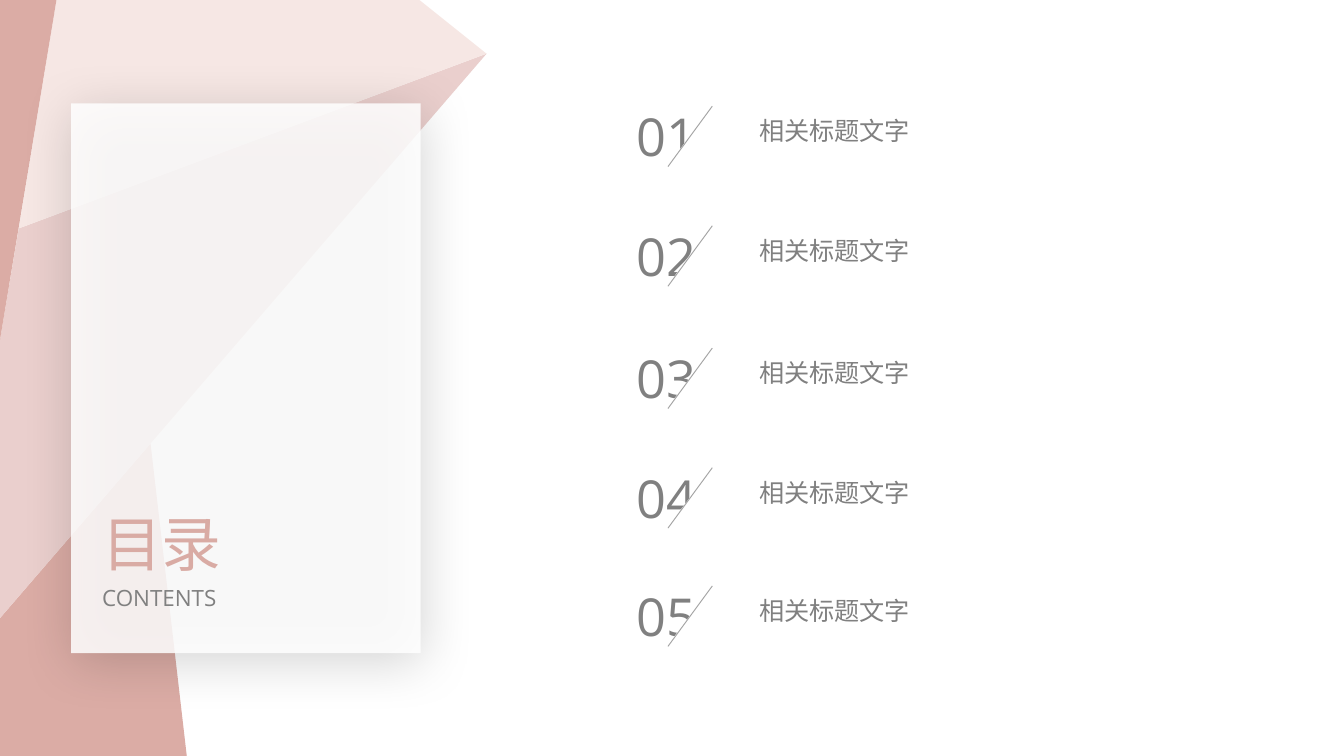
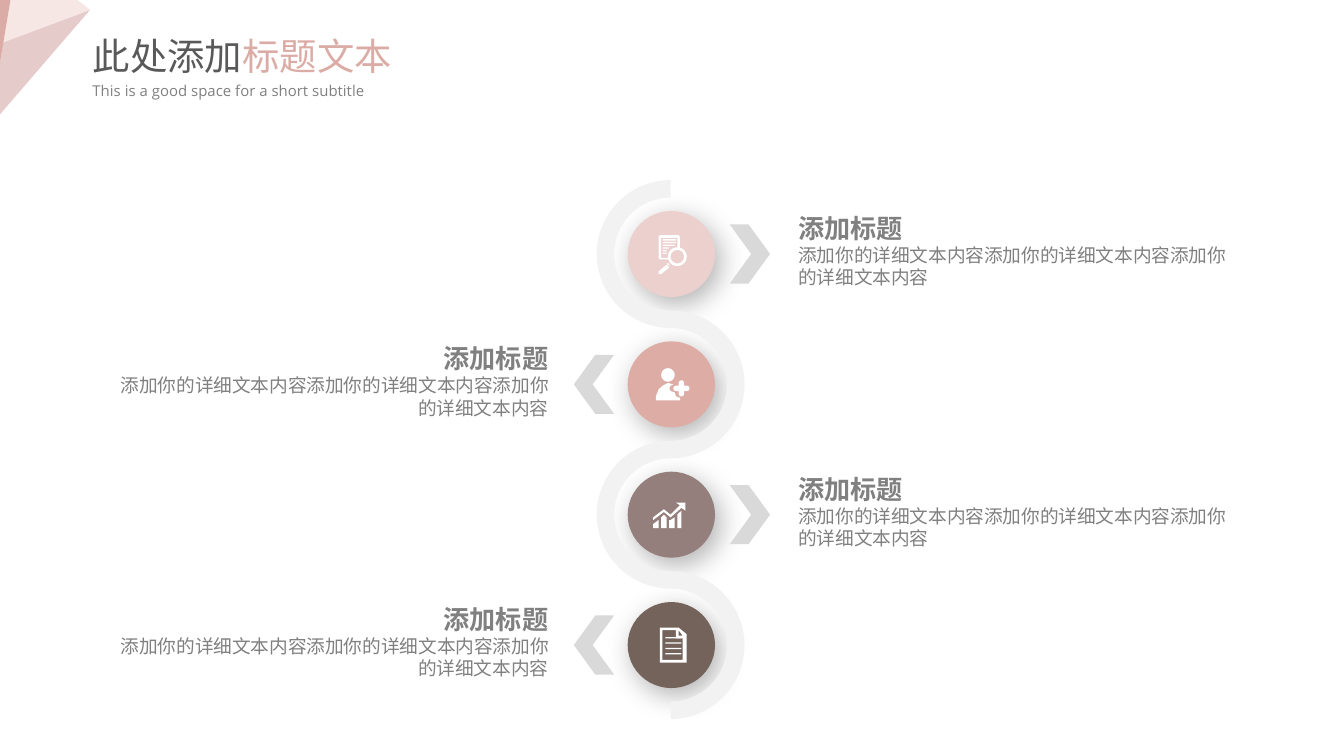
import collections
import math

import lxml.etree
import pptx
import pptx.dml.color
import pptx.enum.shapes
import pptx.enum.text
import pptx.oxml.ns
import pptx.util

Inches = pptx.util.Inches
SHAPE = pptx.enum.shapes.MSO_SHAPE
ALIGN = pptx.enum.text.PP_ALIGN
qn = pptx.oxml.ns.qn

Box = collections.namedtuple("Box", "left top width height")
FULL = Box(0, 0, 10, 10 * 9 / 16)

FONT = "Open Sans"
WHITE, GREY, DARK = "FFFFFF", "808080", "595959"
ROSE, BLUSH, PALE = "DBACA5", "EACFCD", "F6E7E4"
TITLE_ROSE, CORNER_BLUSH = "D9ABA4", "E5CBC9"
RIBBON, ARROW, SLASH = "F2F2F2", "D9D9D9", "A5A5A5"

FACETS = [
    (BLUSH, [(3.62, 0.4), (0.14, 1.7), (0, 2.53), (0, 4.6)]),
    (PALE, [(3.62, 0.4), (3.12, 0), (0.42, 0), (0.14, 1.7)]),
    (ROSE, [(0.42, 0), (0, 0), (0, 2.53)]),
]
LOWER_FACET = [(1.12, 3.3), (1.39, 5.63), (0, 5.63), (0, 4.6)]
ENTRY_TOPS = (0.73, 1.62, 2.53, 3.42, 4.3)
STEP_TITLE = "添加标题"
STEP_TEXT = "添加你的详细文本内容" * 3


def rgb(color):
    """Turn a hex string into a colour."""
    return pptx.dml.color.RGBColor.from_string(color)


def inside(box, left, top, width, height):
    """Return a box placed relative to another one."""
    return Box(box.left + left, box.top + top, width, height)


def paint(shape, color, alpha=None):
    """Give a shape a plain fill without line or shadow."""
    shape.shadow.inherit = False
    shape.fill.solid()
    shape.fill.fore_color.rgb = rgb(color)
    shape.line.fill.background()
    if alpha is not None:
        tint = next(shape._element.spPr.iter(qn("a:srgbClr")))
        lxml.etree.SubElement(tint, qn("a:alpha"), val=str(alpha * 1000))


def cast_shadow(shape, alpha, blur, distance, angle):
    """Add a soft black outer shadow."""
    effects = shape._element.spPr.find(qn("a:effectLst"))
    shadow = lxml.etree.SubElement(
        effects, qn("a:outerShdw"), blurRad=str(pptx.util.Pt(blur)),
        dist=str(pptx.util.Pt(distance)), dir=str(angle * 60000), rotWithShape="0")
    tint = lxml.etree.SubElement(shadow, qn("a:srgbClr"), val="000000")
    lxml.etree.SubElement(tint, qn("a:alpha"), val=str(alpha * 1000))


def add_preset(page, kind, box, color, alpha=None):
    """Draw a filled preset shape."""
    shape = page.shapes.add_shape(kind, *map(Inches, box))
    paint(shape, color, alpha)
    return shape


def add_outline(page, origin, contours, color):
    """Draw closed contours, given in inches from an origin, as one freeform."""
    builder = None
    for contour in contours:
        points = [(Inches(origin[0] + x), Inches(origin[1] + y)) for x, y in contour]
        if builder is None:
            builder = page.shapes.build_freeform(*points[0])
        else:
            builder.move_to(*points[0])
        builder.add_line_segments(points[1:], close=True)
    paint(builder.convert_to_shape(), color)


def arc(x, y, radius, start, end, count=32):
    """Return points along a circular arc, with angles in degrees."""
    angles = [math.radians(start + (end - start) * i / count) for i in range(count + 1)]
    return [(x + radius * math.cos(a), y + radius * math.sin(a)) for a in angles]


def rectangle(left, top, width, height):
    """Return the corners of a rectangle."""
    right, bottom = left + width, top + height
    return [(left, top), (right, top), (right, bottom), (left, bottom)]


def set_font(font, size, color, bold=False):
    """Set face, size, colour and weight of a font."""
    font.name = FONT
    lxml.etree.SubElement(font._rPr, qn("a:ea"), typeface=FONT)
    font.size = pptx.util.Pt(size)
    font.bold = bold
    font.color.rgb = rgb(color)


def set_frame(shape, box, insets=(0.1, 0.05), wrap=True):
    """Place a text shape and return its frame."""
    shape.left, shape.top, shape.width, shape.height = map(Inches, box)
    frame = shape.text_frame
    frame.margin_left = frame.margin_right = Inches(insets[0])
    frame.margin_top = frame.margin_bottom = Inches(insets[1])
    frame.word_wrap = wrap
    frame.auto_size = pptx.enum.text.MSO_AUTO_SIZE.SHAPE_TO_FIT_TEXT
    frame.vertical_anchor = pptx.enum.text.MSO_ANCHOR.TOP
    return frame


def write(frame, lines, align=ALIGN.LEFT):
    """Fill a frame with (text, size, colour, bold) lines."""
    for index, (text, size, color, bold) in enumerate(lines):
        para = frame.add_paragraph() if index else frame.paragraphs[0]
        para.alignment = align
        set_font(para.font, size, color, bold)
        para.add_run().text = text


def add_text(page, box, lines, align=ALIGN.LEFT, **layout):
    """Add a text box."""
    shape = page.shapes.add_textbox(*map(Inches, box))
    write(set_frame(shape, box, **layout), lines, align)


def raise_title(page):
    """Bring the title placeholder to the front and return it."""
    title = page.shapes.title
    title._element.getparent().append(title._element)
    return title


def add_facets(page, box, facets):
    """Draw the folded-paper corner, scaled to the width of its box."""
    scale = box.width / 3.62
    for color, points in facets:
        scaled = [(x * scale, y * scale) for x, y in points]
        add_outline(page, box[:2], [scaled], color)


def add_card(page, box):
    """Draw the translucent card with the contents heading."""
    card = add_preset(page, SHAPE.RECTANGLE, box, WHITE, alpha=85)
    cast_shadow(card, 20, 29, 5, 77)
    frame = set_frame(raise_title(page), inside(box, 0.23, 2.95, 1.19, 0.64), (0, 0.05))
    write(frame, [("目录", 32, TITLE_ROSE, False)], ALIGN.JUSTIFY)
    add_text(page, inside(box, 0.23, 3.53, 1.19, 0.3),
             [("CONTENTS", 12, GREY, False)], ALIGN.JUSTIFY, insets=(0, 0.05))


def add_entry(page, box, number):
    """Draw one contents entry with its cut number."""
    add_text(page, inside(box, 0, 0, 0.65, 0.57),
             [(f"{number:02}", 28, GREY, False)], wrap=False)
    add_text(page, inside(box, 0.91, 0.08, 1.34, 0.33),
             [("相关标题文字", 13.5, GREY, False)], wrap=False)
    cut = add_preset(page, SHAPE.RIGHT_TRIANGLE, inside(box, 0.27, 0.11, 0.45, 0.34), WHITE)
    cut.rotation = 270
    ends = (box.left + 0.66, box.top + 0.06, box.left + 0.33, box.top + 0.51)
    slash = page.shapes.add_connector(
        pptx.enum.shapes.MSO_CONNECTOR.STRAIGHT, *map(Inches, ends))
    slash.line.color.rgb = rgb(SLASH)
    slash.line.width = pptx.util.Pt(0.5)
    lxml.etree.SubElement(slash._element.spPr, qn("a:effectLst"))


def add_heading(page, box):
    """Draw the corner, two-tone title and subtitle of a content slide."""
    corner = [(CORNER_BLUSH if color == BLUSH else color, points) for color, points in FACETS]
    add_facets(page, inside(box, 0, 0, 0.67, 0.85), corner)
    frame = set_frame(raise_title(page), inside(box, 0.59, 0.2, 2.45, 0.44), wrap=False)
    write(frame, [("此处添加", 20, DARK, False)])
    span = frame.paragraphs[0].add_run()
    span.text = "标题文本"
    span.font.color.rgb = rgb(ROSE)
    add_text(page, inside(box, 0.59, 0.56, 2.27, 0.24),
             [("This is a good space for a short subtitle", 8, GREY, False)], wrap=False)


def add_ribbon(page, origin, count, pitch):
    """Draw the winding band around the step circles."""
    outer, inner = 0.55, 0.42
    down, up = [], []
    for i in range(count):
        end = 90 if i % 2 else -270
        radii = (inner, outer) if i % 2 else (outer, inner)
        down += arc(0, i * pitch, radii[0], -90, end)
        up = arc(0, i * pitch, radii[1], end, -90) + up
    add_outline(page, origin, [down + up], RIBBON)


def add_search_icon(page, center):
    """Draw a page with a magnifier."""
    frame = [(-0.01, 0.03), (-0.07, 0.03), (-0.07, -0.12), (0.05, -0.12), (0.05, -0.04),
             (0.07, -0.04), (0.07, -0.13), (0.06, -0.14), (-0.08, -0.14), (-0.09, -0.13),
             (-0.09, 0.03), (-0.08, 0.04), (-0.01, 0.04)]
    widths = (0.1, 0.1, 0.09, 0.05, 0.03, 0.03)
    rules = [rectangle(-0.06, -0.11 + 0.02 * i, w, 0.01) for i, w in enumerate(widths)]
    lens = [arc(0.05, 0.02, radius, 0, 360) for radius in (0.07, 0.05)]
    handle = [[(-0.03, 0.07), (-0.01, 0.07), (-0.01, 0.09)],
              [(-0.09, 0.13), (-0.03, 0.08), (-0.01, 0.1), (-0.07, 0.15), (-0.09, 0.15)]]
    for contours in (rules, lens, handle, [frame]):
        add_outline(page, center, contours, WHITE)


def add_person_icon(page, center):
    """Draw a person with a plus sign."""
    plus = []
    for turn in (0, 90, 180, 270):
        angle = math.radians(turn)
        plus += arc(0.08 + 0.04 * math.cos(angle), 0.03 + 0.04 * math.sin(angle),
                    0.02, turn - 90, turn + 90, 8)
        plus += arc(0.08, 0.03, 0.03, turn + 45, turn + 45, 1)
    body = [(0.07, 0.12), (0.07, 0.1), (0.04, 0.09), (0.03, 0.06), (0, 0.05),
            (-0.01, 0.03), (0, 0.01), (0.02, 0), (-0.02, -0.01), (-0.06, 0.01),
            (-0.09, 0.04), (-0.11, 0.09), (-0.11, 0.12)]
    add_outline(page, center, [plus], WHITE)
    add_outline(page, center, [arc(-0.02, -0.07, 0.05, 0, 360), body], WHITE)


def add_chart_icon(page, center):
    """Draw rising bars under a trend arrow."""
    bars = [[(-0.13, 0.1), (-0.13, 0.07), (-0.09, 0.04), (-0.09, 0.1)],
            [(-0.07, 0.1), (-0.07, 0.02), (-0.05, 0), (-0.03, 0.02), (-0.03, 0.1)],
            [(-0.01, 0.1), (-0.01, 0.04), (0, 0.04), (0.03, 0.02), (0.03, 0.1)],
            [(0.05, 0.1), (0.05, 0), (0.08, -0.03), (0.08, 0.1)]]
    trend = [(0.11, -0.09), (0.04, -0.09), (0.07, -0.07), (0, 0), (-0.05, -0.04), (-0.13, 0.02),
             (-0.13, 0.04), (-0.05, -0.02), (0, 0.02), (0.08, -0.05), (0.11, -0.03)]
    add_outline(page, center, bars, WHITE)
    add_outline(page, center, [trend], WHITE)


def add_document_icon(page, center):
    """Draw a ruled document with a folded corner."""
    sheet = [(0.12, -0.08), (0.06, -0.13), (-0.08, -0.13), (-0.08, 0.13), (0.12, 0.13)]
    fold = [(0.09, -0.07), (0.06, -0.07), (0.06, -0.11)]
    hollow = [(0.09, 0.11), (-0.06, 0.11), (-0.06, -0.11), (0.04, -0.11),
              (0.04, -0.05), (0.09, -0.05)]
    add_outline(page, center, [sheet, fold, hollow], WHITE)
    for i in range(4):
        box = Box(center[0] - 0.04, center[1] - 0.06 + 0.04 * i, 0.12, 0.01)
        add_preset(page, SHAPE.RECTANGLE, box, WHITE)


def add_step_text(page, center, side):
    """Draw the chevron and text on one side of a circle (1 right, -1 left)."""
    chevron = [(0, 0), (0.16, 0.22), (0, 0.44), (0.14, 0.44), (0.3, 0.22), (0.14, 0)]
    start = (center[0] + (0.44 if side > 0 else -0.42), center[1] - 0.22)
    add_outline(page, start, [[(side * x, y) for x, y in chevron]], ARROW)
    left = center[0] + (0.95 if side > 0 else -4.14)
    add_text(page, Box(left, center[1] - 0.31, 3.23, 0.57),
             [(STEP_TITLE, 14, GREY, True), (STEP_TEXT, 10, GREY, False)],
             ALIGN.LEFT if side > 0 else ALIGN.RIGHT, insets=(0, 0))


def build_contents(page, box):
    """Build the contents slide."""
    add_facets(page, inside(box, 0, 0, 3.62, 5.63), [(ROSE, LOWER_FACET)] + FACETS)
    add_card(page, inside(box, 0.53, 0.77, 2.6, 4.09))
    for number, top in enumerate(ENTRY_TOPS, 1):
        add_entry(page, inside(box, 4.64, top, 2.25, 0.57), number)


def build_steps(page, box):
    """Build the four-step slide."""
    steps = [("ECD0CD", add_search_icon), ("DCACA5", add_person_icon),
             ("957F7C", add_chart_icon), ("73635B", add_document_icon)]
    pitch = 0.97
    centers = [(box.left + 4.99, box.top + 1.89 + pitch * i) for i in range(len(steps))]
    for (x, y), (color, _) in zip(centers, steps):
        circle = add_preset(page, SHAPE.OVAL, Box(x - 0.32, y - 0.32, 0.65, 0.64), color)
        cast_shadow(circle, 30, 15, 5, 55)
    add_ribbon(page, centers[0], len(steps), pitch)
    for i, (center, (_, add_icon)) in enumerate(zip(centers, steps)):
        add_icon(page, center)
        add_step_text(page, center, -1 if i % 2 else 1)
    add_heading(page, box)


def main():
    """Build and save the deck."""
    deck = pptx.Presentation()
    deck.slide_width, deck.slide_height = Inches(FULL.width), Inches(FULL.height)
    for build in (build_contents, build_steps):
        build(deck.slides.add_slide(deck.slide_layouts[5]), FULL)
    deck.save("out.pptx")


if __name__ == "__main__":
    main()
